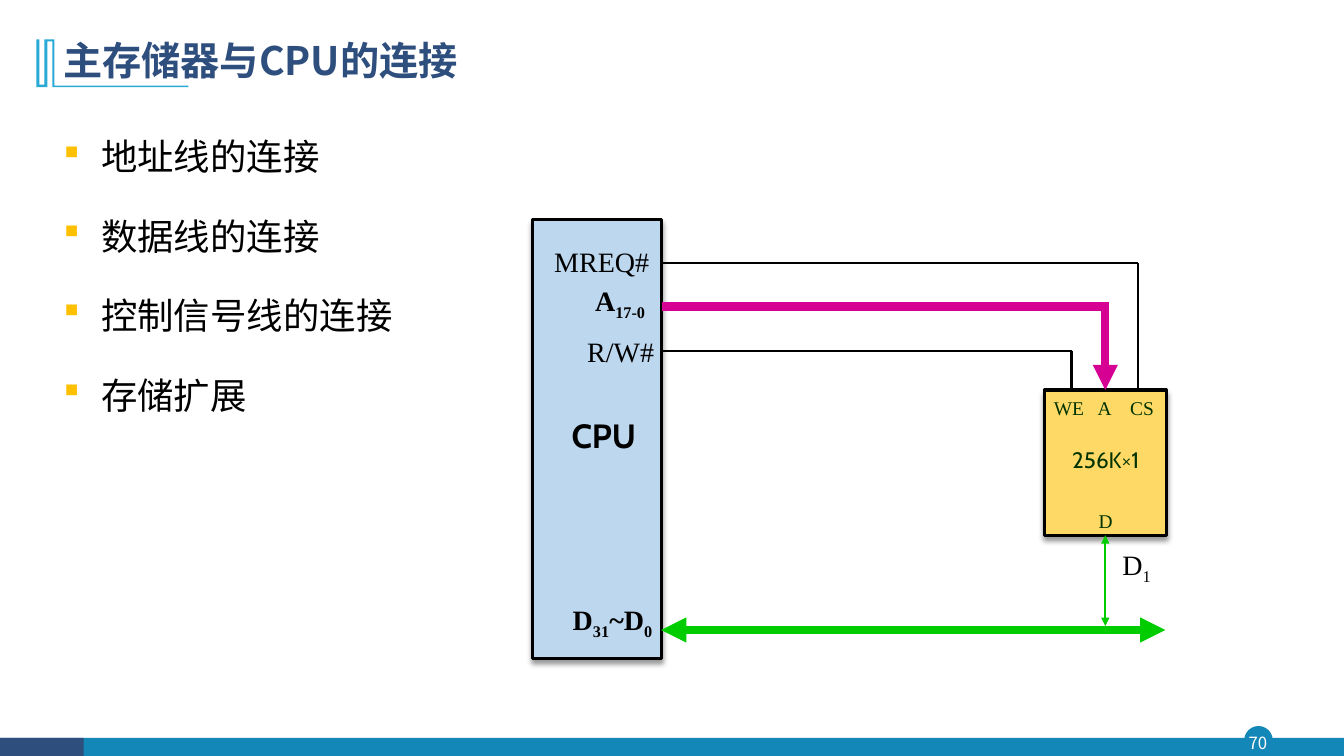
import pptx
import pptx.util
import pptx.dml.color
import pptx.enum.shapes
import pptx.enum.text
import pptx.oxml
import pptx.oxml.ns
from lxml import etree

CELL = pptx.util.Inches(0.1)
COLS, ROWS = 133.33, 75
COLORS = {"navy": "2E4E7E", "teal": "1387B7", "sky": "28A9D6", "gold": "FFC000",
          "cpu": "BDD7EE", "chip": "FFD966", "address": "D60093", "data": "00CC00",
          "pin": "003300", "black": "000000", "white": "FFFFFF"}
SANS, SERIF, LATIN = "Noto Sans CJK SC", "Times New Roman", "Cabin"
SHAPE = pptx.enum.shapes.MSO_SHAPE
ALIGN = pptx.enum.text.PP_ALIGN
ANCHOR = pptx.enum.text.MSO_ANCHOR


def cells(*values):
    """Turn grid cells into slide lengths."""
    return [round(v * CELL) for v in values]


def rgb(name):
    """Look up a colour by name."""
    return pptx.dml.color.RGBColor.from_string(COLORS[name])


def add(parent, tag, **attrs):
    """Append a drawing element with attributes."""
    return etree.SubElement(parent, pptx.oxml.ns.qn(tag), attrs)


def style(p, size, font, color, bold=False):
    """Set the font of a whole paragraph."""
    f = p.font
    f.size, f.name, f.bold = pptx.util.Pt(size), font, bold
    f.color.rgb = rgb(color)
    add(f._element, "a:ea", typeface=font)


def textbox(s, box, inset=None, wrap=True, anchor=ANCHOR.TOP):
    """Add an empty text box and return its frame."""
    tf = s.shapes.add_textbox(*cells(*box)).text_frame
    tf.word_wrap, tf.vertical_anchor = wrap, anchor
    if inset is not None:
        tf.margin_left = tf.margin_right = tf.margin_top = tf.margin_bottom = round(inset * CELL)
    return tf


def label(tf, parts, align, size, font, color="black", bold=False):
    """Write one line made of (text, baseline percent) parts."""
    p = tf.paragraphs[0]
    p.alignment = align
    style(p, size, font, color, bold)
    for text, base in parts:
        r = p.add_run()
        r.text = text
        if base:
            r.font._element.set("baseline", str(base * 1000))


def block(s, kind, box, fill, line=None, width=1, shadow=False):
    """Add a filled shape, with an outline and a shadow if asked."""
    sp = s.shapes.add_shape(kind, *cells(*box))
    sp.shadow.inherit = False
    sp.fill.solid()
    sp.fill.fore_color.rgb = rgb(fill)
    if line:
        sp.line.color.rgb = rgb(line)
        sp.line.width = pptx.util.Pt(width)
    else:
        sp.line.fill.background()
    if shadow:
        effects = sp._element.spPr.find(pptx.oxml.ns.qn("a:effectLst"))
        outer = add(effects, "a:outerShdw", blurRad=str(pptx.util.Pt(4)), dist=str(pptx.util.Pt(3)),
                    dir="5400000", algn="t", rotWithShape="0")
        add(add(outer, "a:srgbClr", val=COLORS["black"]), "a:alpha", val="40000")
    return sp


def wire(s, start, end, color="black", width=1.5, heads=()):
    """Add a straight line with the named arrowheads."""
    c = s.shapes.add_connector(pptx.enum.shapes.MSO_CONNECTOR.STRAIGHT, *cells(*start, *end))
    c.line.color.rgb = rgb(color)
    c.line.width = pptx.util.Pt(width)
    for head in heads:
        add(c.line._get_or_add_ln(), f"a:{head}End", type="triangle")
    add(c._element.spPr, "a:effectLst")
    return c


def footer(s, box, number):
    """Draw the bottom band and the page number."""
    x, y, w, h = box
    block(s, SHAPE.OVAL, (x + 123.5, y - 1.1, 2.7, 2.7), "teal", "teal")
    block(s, SHAPE.RECTANGLE, box, "teal")
    block(s, SHAPE.RECTANGLE, (x, y, 8.3, h), "navy")
    tf = textbox(s, (x + 123.2, y - 1.1, 3.2, 3.1), 0, anchor=ANCHOR.MIDDLE)
    label(tf, [(number, 0)], ALIGN.CENTER, 12, SANS, "white")


def header(s, box, title):
    """Draw the bracket ornament and the title."""
    x, y, w, h = box
    outline = [(0, 0), (.3, 0), (.3, 4.5), (.8, 4.5), (.8, 0), (1.8, 0), (1.8, 4.6), (15.1, 4.6),
               (15.1, 4.75), (1.6, 4.75), (1.6, .2), (1.1, .2), (1.1, 4.75), (0, 4.75)]
    points = [cells(x + px, y + py) for px, py in outline]
    builder = s.shapes.build_freeform(*points[0])
    builder.add_line_segments(points[1:])
    sp = builder.convert_to_shape()
    sp.shadow.inherit = False
    sp.fill.solid()
    sp.fill.fore_color.rgb = rgb("sky")
    sp.line.fill.background()
    tf = textbox(s, (x + 1.7, y - 1.1, w - 1.7, 6.8), anchor=ANCHOR.MIDDLE)
    tf.paragraphs[0].line_spacing = 0.9
    label(tf, [(title, 0)], ALIGN.LEFT, 28, SANS, "navy", True)


def topics(s, box, items):
    """List the topics with square bullets."""
    tf = textbox(s, box)
    tf.margin_top = round(0.9 * CELL)
    for i, item in enumerate(items):
        p = tf.paragraphs[0] if i == 0 else tf.add_paragraph()
        p.text = item
        p.alignment = ALIGN.JUSTIFY
        p.line_spacing = pptx.util.Pt(46.7)
        p.space_before = pptx.util.Pt(10 if i else 0)
        pPr = p._p.get_or_add_pPr()
        indent = round(3.75 * CELL)
        pPr.set("marL", str(indent))
        pPr.set("indent", str(-indent))
        add(add(pPr, "a:buClr"), "a:srgbClr", val=COLORS["gold"])
        add(pPr, "a:buFont", typeface="Wingdings", charset="2")
        add(pPr, "a:buChar", char="§")
        style(p, 26, SANS, "black")


def processor(s, box):
    """Draw the processor with its signal names."""
    x, y, w, h = box
    block(s, SHAPE.RECTANGLE, box, "cpu", "black", 2.25, True)
    signals = [(.1, 6.2, [("A", 0), ("17-0", -25)], 20, SERIF, True),
               (.5, 2.4, [("MREQ#", 0)], 20, SERIF, False),
               (1, 11.3, [("R/W#", 0)], 20, SERIF, False),
               (-.8, 19.3, [("CPU", 0)], 24, LATIN, True),
               (.8, 37.9, [("D", 0), ("31", -25), ("~D", 0), ("0", -25)], 20, SERIF, True)]
    for dx, dy, parts, size, font, bold in signals:
        tf = textbox(s, (x + dx, y + dy, 11.2, 5.6), 0.1)
        label(tf, parts, ALIGN.RIGHT, size, font, bold=bold)


def memory(s, box):
    """Draw the memory chip with its pins and return its body."""
    x, y, w, h = box
    sp = block(s, SHAPE.RECTANGLE, box, "chip", "black", 2.25, True)
    for name, dx, dy, pw in [("WE", -.3, -.3, 5.5), ("A", 4.2, -.3, 3.6),
                             ("CS", 7.3, -.3, 4.8), ("D", 4.3, 10.9, 3.6)]:
        tf = textbox(s, (x + dx, y + dy, pw, 5), wrap=False)
        label(tf, [(name, 30)], ALIGN.CENTER, 24, SERIF, "pin")
    tf = textbox(s, (x - .2, y + 5.1, w + .5, 3.7))
    label(tf, [("256K×1", 0)], ALIGN.CENTER, 16, LATIN, "pin")
    return sp


def diagram(s, box):
    """Draw the processor, the chip and the lines that join them."""
    x, y, w, h = box
    cpu = (x, y, 12.8, h)
    chip = (x + 50.8, y + 16.9, 12.1, 14.4)
    processor(s, cpu)
    sp = memory(s, chip)
    left, top = x + cpu[2], chip[1]
    middle, bottom = chip[0] + chip[2] / 2, top + chip[3]
    for pin, row in [(9.3, 4.3), (2.7, 13)]:
        corner = (chip[0] + pin, y + row)
        wire(s, (left, y + row), corner)
        wire(s, corner, (corner[0], top))
    wire(s, (left + .1, y + 8.6), (middle, y + 8.6), "address", 6)
    address = wire(s, (middle, y + 8.2), (middle, top), "address", 6, ["tail"])
    address.end_connect(sp, 0)
    wire(s, (left, y + 40.7), (x + 62.8, y + 40.7), "data", 6, ["head", "tail"])
    data = wire(s, (middle, bottom), (middle, y + 40.3), "data", 1.5, ["head", "tail"])
    data.begin_connect(sp, 2)
    tf = textbox(s, (middle - .2, bottom + 1.1, 4.8, 5.5), 0.1)
    label(tf, [("D", 0), ("1", -25)], ALIGN.RIGHT, 20, SERIF)


def main():
    """Build the slide and save it."""
    prs = pptx.Presentation()
    prs.slide_width, prs.slide_height = cells(COLS, ROWS)
    s = prs.slides.add_slide(prs.slide_layouts[6])
    footer(s, (0, 73.2, COLS, 1.8), "70")
    header(s, (3.6, 3.9, 116.7, 4.7), "主存储器与CPU的连接")
    topics(s, (5.3, 10.3, 65.7, 61.6),
           ["地址线的连接", "数据线的连接", "控制信号线的连接", "存储扩展"])
    diagram(s, (52.8, 21.8, 62.9, 43.5))
    prs.save("out.pptx")


if __name__ == "__main__":
    main()
